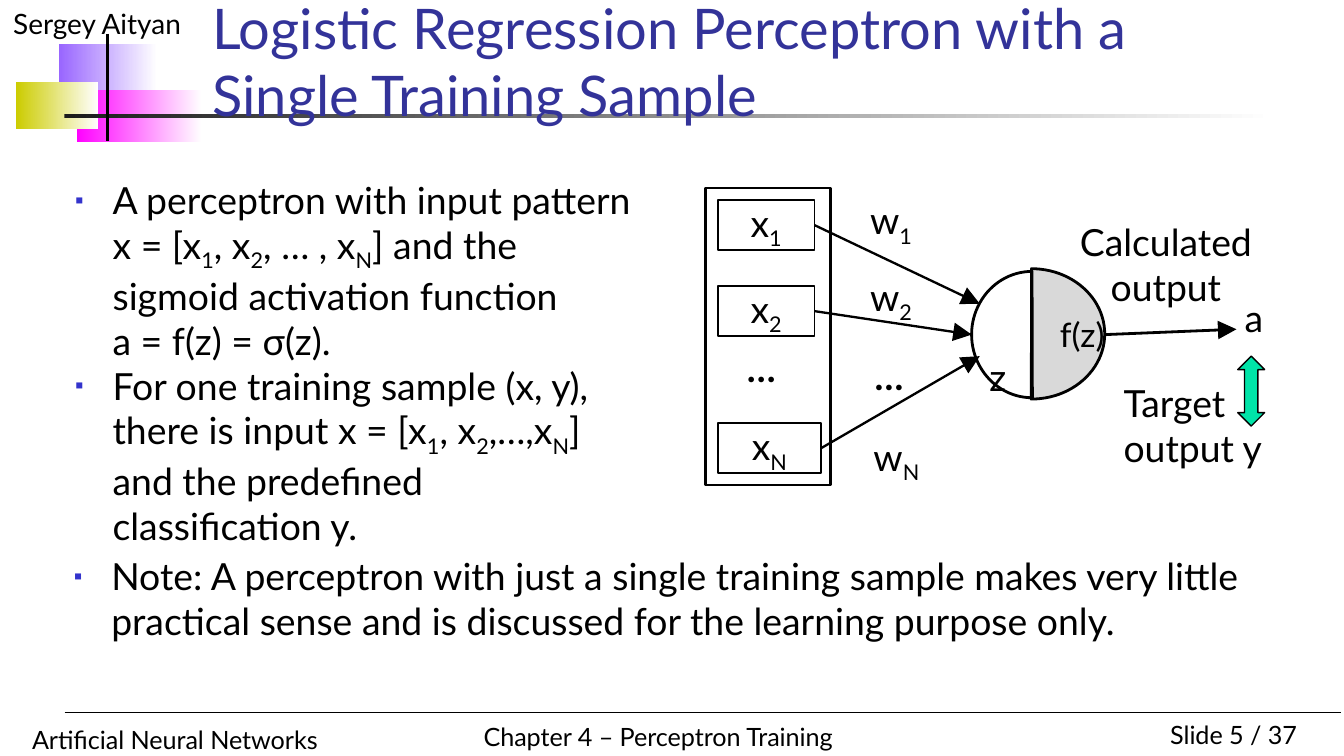
"""Builds the slide on the logistic regression perceptron, on a grid of tenths of an inch."""
from typing import NamedTuple, Optional

from lxml.etree import SubElement
from pptx import Presentation
from pptx.dml.color import RGBColor
from pptx.enum.shapes import MSO_CONNECTOR, MSO_SHAPE
from pptx.enum.text import MSO_ANCHOR, MSO_AUTO_SIZE, PP_ALIGN
from pptx.oxml.ns import qn
from pptx.util import Emu, Inches, Pt

FONT = "Lato"
BLACK, WHITE, TITLE, BULLET = "000000", "FFFFFF", "333399", "3333CC"
LEFT, CENTER, RIGHT = PP_ALIGN.LEFT, PP_ALIGN.CENTER, PP_ALIGN.RIGHT
TOP, MIDDLE, BOTTOM = MSO_ANCHOR.TOP, MSO_ANCHOR.MIDDLE, MSO_ANCHOR.BOTTOM
COLS, ROWS = 100, 56.25
PAD, TIGHT, NODE_PAD = (1, 0.5, 1, 0.5), (0, 0, 0, 0), (0, 0, 0, 0.4)


class Box(NamedTuple):
    col: float
    row: float
    cols: float
    rows: float


class Label(NamedTuple):
    text: str
    box: Box
    size: float = 20
    align: PP_ALIGN = CENTER
    pad: tuple = TIGHT
    bold: bool = False
    wrap: bool = True


class Band(NamedTuple):
    box: Box
    color: str


class Node(NamedTuple):
    text: str
    row: float
    cols: float
    tip: tuple


BANDS = [
    Band(Box(4.4, 3.3, 7.3, 3.9), "9966FF"),
    Band(Box(5.7, 6.7, 9.3, 3.9), "FF00FF"),
    Band(Box(1.2, 6.1, 6.1, 3.5), "CCCC00"),
    Band(Box(4.8, 8.5, 90, 0.3), "1C1C1C"),
]
MARGINALS = [
    Label("Sergey Aityan", Box(0, 0, 25, 3.5), 15, LEFT, PAD),
    Label("Slide 5 / 37", Box(82.5, 53, 15, 3.3), 13.5, RIGHT, PAD),
    Label("Artificial Neural Networks", Box(1.4, 53.4, 37, 3.3), 13.5, LEFT, PAD),
    Label("Chapter 4 – Perceptron Training", Box(35, 53.2, 28.6, 3.3), 13.5, LEFT, PAD, wrap=False),
]
BODIES = [
    (Box(4.6, 12.7, 43.7, 27.9), [
        "A perceptron with input pattern x = [x|1|, x|2|, … , x|N|] and the sigmoid activation function \na = f(z) = σ(z).",
        "For one training sample (x, y), there is input x = [x|1|, x|2|,…,x|N|] and the predefined classification y.",
    ]),
    (Box(4.5, 40.7, 89, 8.7), [
        "Note: A perceptron with just a single training sample makes very little practical sense "
        "and is discussed for the learning purpose only.",
    ]),
]
NODES = [
    Node("x|1|", 14.9, 7.2, (72.9, 22.6)),
    Node("x|2|", 21.3, 7.2, (72.3, 24.9)),
    Node("x|N|", 31.5, 7.7, (72.9, 26.5)),
]
LABELS = [
    Label("…", Box(53.2, 25.7, 6.9, 3.4), bold=True),
    Label("Calculated output", Box(80, 16.3, 13.5, 6.7)),
    Label("Target output y", Box(83.6, 28.3, 12.8, 6.7), align=LEFT),
    Label("w|2|", Box(62.3, 20.4, 8, 3.4)),
    Label("w|1|", Box(63.8, 14.7, 5, 3.4)),
    Label("…", Box(64.2, 26.3, 3.9, 3.4), bold=True),
    Label("w|N|", Box(63.9, 32.3, 5.6, 3.4)),
    Label("a", Box(91.6, 22, 3.4, 3.4)),
]


def u(n: float) -> Emu:
    """Convert grid units to a length."""
    return Inches(n / 10)


def rgb(color: str) -> RGBColor:
    """Convert a hex string to a colour."""
    return RGBColor.from_string(color)


def frame(sp, pad: tuple = PAD, anchor: MSO_ANCHOR = TOP, wrap: bool = True):
    """Set the text frame's margins, anchor and wrapping, and return it."""
    tf = sp.text_frame
    tf.auto_size, tf.word_wrap, tf.vertical_anchor = MSO_AUTO_SIZE.NONE, wrap, anchor
    tf.margin_left, tf.margin_top, tf.margin_right, tf.margin_bottom = map(u, pad)
    return tf


def write(p, text: str, size: float = 20, align: PP_ALIGN = LEFT, color: str = BLACK, bold: bool = False) -> None:
    """Add runs to a paragraph; text between bars is subscript."""
    p.alignment = align
    for n, line in enumerate(text.split("\n")):
        if n:
            p.add_line_break()
        for i, part in enumerate(line.split("|")):
            if not part:
                continue
            r = p.add_run()
            r.text = part
            r.font.name, r.font.size, r.font.bold = FONT, Pt(size), bold
            r.font.color.rgb = rgb(color)
            if i % 2:
                r.font._element.set("baseline", "-25000")


def add_label(s, label: Label) -> None:
    """Draw a text box."""
    sp = s.shapes.add_textbox(*map(u, label.box))
    tf = frame(sp, label.pad, wrap=label.wrap)
    write(tf.paragraphs[0], label.text, label.size, label.align, bold=label.bold)


def add_body(s, box: Box, items: list) -> None:
    """Draw a bulleted text box."""
    tf = frame(s.shapes.add_textbox(*map(u, box)))
    for i, item in enumerate(items):
        p = tf.add_paragraph() if i else tf.paragraphs[0]
        write(p, item)
        pPr = p._p.get_or_add_pPr()
        pPr.set("marL", str(u(2.8)))
        pPr.set("indent", str(-u(2.8)))
        SubElement(SubElement(pPr, qn("a:buClr")), qn("a:srgbClr"), val=BULLET)
        SubElement(pPr, qn("a:buSzPct"), val="60000")
        SubElement(pPr, qn("a:buFont"), typeface=FONT)
        SubElement(pPr, qn("a:buChar"), char="▪")


def add_figure(s, kind: MSO_SHAPE, box: Box, weight: float, fill: Optional[str] = None):
    """Draw an outlined shape."""
    sp = s.shapes.add_shape(kind, *map(u, box))
    sp.shadow.inherit = False
    if fill:
        sp.fill.solid()
        sp.fill.fore_color.rgb = rgb(fill)
    else:
        sp.fill.background()
    sp.line.color.rgb, sp.line.width = rgb(BLACK), Pt(weight)
    return sp


def add_band(s, band: Band) -> None:
    """Draw a rectangle that fades to white."""
    sp = s.shapes.add_shape(MSO_SHAPE.RECTANGLE, *map(u, band.box))
    sp.shadow.inherit = False
    sp.line.fill.background()
    sp.fill.gradient()
    sp.fill.gradient_angle = 0
    for stop, color in zip(sp.fill.gradient_stops, (band.color, WHITE)):
        stop.color.rgb = rgb(color)


def add_line(s, start: tuple, end: tuple, weight: float, arrow: bool = False):
    """Draw a straight line, with an arrowhead if asked."""
    sp = s.shapes.add_connector(MSO_CONNECTOR.STRAIGHT, *map(u, start + end))
    sp.line.color.rgb, sp.line.width = rgb(BLACK), Pt(weight)
    if arrow:
        SubElement(sp.line._get_or_add_ln(), qn("a:tailEnd"), type="triangle", w="lg", len="lg")
    SubElement(sp._element.spPr, qn("a:effectLst"))
    return sp


def add_node(s, node: Node) -> None:
    """Draw an input box and its arrow to the neuron."""
    sp = add_figure(s, MSO_SHAPE.RECTANGLE, Box(53.4, node.row, node.cols, 3.7), 1)
    write(frame(sp, NODE_PAD).paragraphs[0], node.text, align=CENTER)
    start = (53.4 + node.cols, node.row + 1.85)
    add_line(s, start, node.tip, 1.25, True).begin_connect(sp, 3)


def add_half(s, box: Box, label: Label, fill: Optional[str] = None, flip: bool = False) -> None:
    """Draw one half of the neuron."""
    sp = add_figure(s, MSO_SHAPE.PIE, box, 1.5, fill)
    sp.adjustments[0], sp.adjustments[1] = 53.84, 162
    if flip:
        sp._element.spPr.xfrm.set("flipH", "1")
    tf = frame(sp, label.pad, MIDDLE, label.wrap)
    write(tf.paragraphs[0], label.text, label.size, label.align)


def main() -> None:
    """Build and save the slide."""
    prs = Presentation()
    prs.slide_width, prs.slide_height = u(COLS), u(ROWS)
    s = prs.slides.add_slide(prs.slide_layouts[5])
    for band in BANDS:
        add_band(s, band)
    for label in MARGINALS:
        add_label(s, label)
    add_line(s, (4.8, 53), (99.8, 53), 0.75)
    add_line(s, (8, 2.5), (8, 10.5), 2)

    title = s.shapes.title
    title.left, title.top, title.width, title.height = map(u, Box(14.8, 4.6, 72.9, 5.4))
    write(frame(title, anchor=BOTTOM).paragraphs[0],
          "Logistic Regression Perceptron with a Single Training Sample", 30, color=TITLE)
    s.shapes._spTree.append(title._element)
    for box, items in BODIES:
        add_body(s, box, items)

    add_figure(s, MSO_SHAPE.RECTANGLE, Box(52.5, 14, 9.3, 22.1), 1.25)
    for node in NODES:
        add_node(s, node)
    for label in LABELS:
        add_label(s, label)
    add_line(s, (82.2, 24.9), (92, 24.5), 1.5, True)
    add_figure(s, MSO_SHAPE.UP_DOWN_ARROW, Box(92.1, 26.5, 2, 5.2), 0.75, "00E4A8")
    right, left = Box(71.3, 20, 10.9, 9.7), Box(72.3, 20.2, 9, 9.4)
    add_half(s, right, Label(" f(z)", right, 18, RIGHT, (1, 0.4, 0, 0.4), wrap=False), "D9D9D9", True)
    add_half(s, left, Label("z", left, 20, LEFT, (0, 0.4, 0, 0.4), wrap=False))
    prs.save("out.pptx")


if __name__ == "__main__":
    main()
